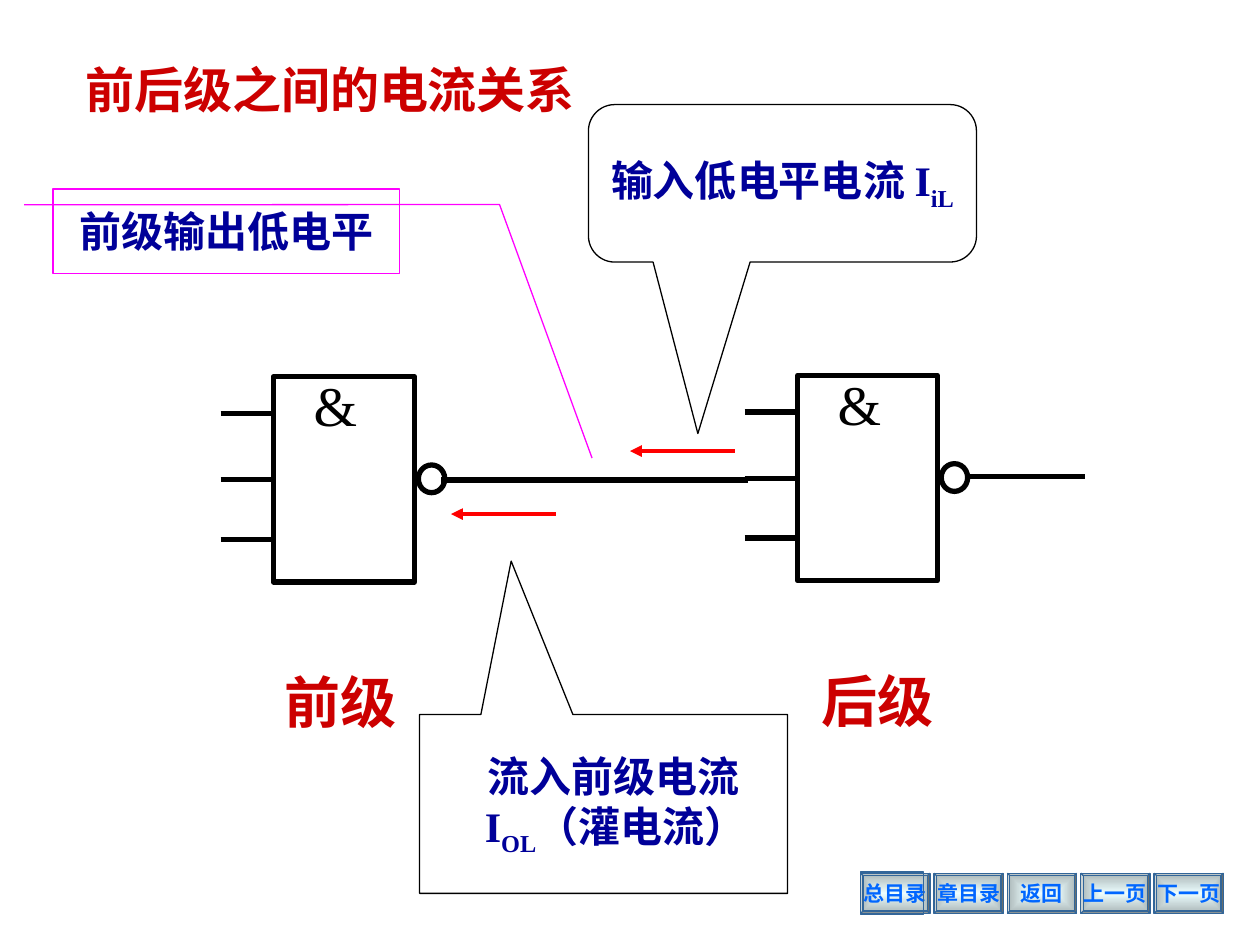
import pptx
import pptx.util
import pptx.dml.color
import pptx.enum.shapes
import pptx.enum.text
import pptx.oxml
import pptx.oxml.ns

Inches = pptx.util.Inches
Pt = pptx.util.Pt
SHAPE = pptx.enum.shapes.MSO_SHAPE
ALIGN = pptx.enum.text.PP_ALIGN
FONT = "Times New Roman"
COLORS = {
    "black": "000000", "title": "CC0000", "note": "000099", "pink": "FF00FF",
    "arrow": "FF0000", "link": "0066FF", "edge": "336699",
    "light": "ECFDFE", "dark": "AAB6B7",
}


def color(name):
    """Return the named colour."""
    return pptx.dml.color.RGBColor.from_string(COLORS[name])


def element(tag, **attrs):
    """Make an XML element with the given attributes."""
    node = pptx.oxml.parse_xml(f"<{tag} {pptx.oxml.ns.nsdecls('a')}/>")
    for key, value in attrs.items():
        node.set(key, value)
    return node


def outline(item, name, width):
    """Set the colour and width of a line."""
    item.line.color.rgb = color(name)
    item.line.width = Pt(width)


def shape(parent, kind, box, line, width, adjust=()):
    """Add an unfilled preset shape."""
    item = parent.shapes.add_shape(kind, *map(Inches, box))
    item.shadow.inherit = False
    item.fill.background()
    outline(item, line, width)
    for index, value in enumerate(adjust):
        item.adjustments[index] = value
    return item


def wire(parent, start, end, line="black", width=3, arrow=False):
    """Add a straight line, with an arrowhead at its end if asked."""
    kind = pptx.enum.shapes.MSO_CONNECTOR.STRAIGHT
    item = parent.shapes.add_connector(kind, *map(Inches, (*start, *end)))
    outline(item, line, width)
    if arrow:
        item.line._get_or_add_ln().append(element("a:tailEnd", type="triangle"))
    item._element.spPr.append(element("a:effectLst"))
    return item


def write(para, runs, size, name, bold=True, align=ALIGN.CENTER, indent=0):
    """Fill a paragraph with (text, baseline) runs."""
    para.alignment = align
    if indent:
        props = para._p.get_or_add_pPr()
        props.set("marL", str(Inches(indent)))
        props.set("indent", "0")
    for text, base in runs:
        run = para.add_run()
        run.text = text
        run.font.name = FONT
        run.font.size = Pt(size)
        run.font.bold = bold
        run.font.color.rgb = color(name)
        if base:
            run.font._element.set("baseline", str(base * 1000))


def label(parent, box, text, size, name, bold=True):
    """Add a text box with one line of text."""
    frame = parent.shapes.add_textbox(*map(Inches, box)).text_frame
    frame.word_wrap = True
    frame.auto_size = pptx.enum.text.MSO_AUTO_SIZE.SHAPE_TO_FIT_TEXT
    write(frame.paragraphs[0], [(text, 0)], size, name, bold, ALIGN.LEFT)


def callout(slide, kind, box, adjust, line, rows):
    """Add a callout with one paragraph for each (runs, align, indent) row."""
    item = shape(slide, kind, box, line, 0.75, adjust)
    frame = item.text_frame
    frame.word_wrap = True
    frame.vertical_anchor = pptx.enum.text.MSO_ANCHOR.MIDDLE
    for index, (runs, align, indent) in enumerate(rows):
        para = frame.add_paragraph() if index else frame.paragraphs[0]
        write(para, runs, 24, "note", align=align, indent=indent)


def gate(slide, box, name, shift, out=0):
    """Draw a NAND gate with three inputs, a name and an optional output."""
    left, top, width, height = box
    right = left + width
    group = slide.shapes.add_group_shape()
    body = shape(group, SHAPE.RECTANGLE, box, "black", 3)
    shape(group, SHAPE.OVAL, (right + 0.03, top + 0.7, 0.21, 0.22), "black", 3)
    label(group, (left + 0.22, top - 0.1, 0.8, 0.64), "&", 32, "black", False)
    for drop in (0.29, height / 2, 1.29):
        pin = wire(group, (left - 0.42, top + drop), (left, top + drop))
        if drop == height / 2:
            pin.end_connect(body, 1)
    if out:
        wire(group, (right + 0.22, top + 0.8), (right + 0.22 + out, top + 0.8))
    label(group, (left + shift, top + 2.26, 1.17, 0.64), name, 32, "title")


def buttons(slide, box, names):
    """Spread bevelled navigation buttons across the box."""
    left, top, width, height = box
    wide = 0.55
    step = (width - wide) / (len(names) - 1)
    for index, name in enumerate(names):
        place = (left + index * step, top, wide, height)
        item = shape(slide, SHAPE.BEVEL, place, "edge", 0.75, [0.06])
        item.fill.gradient()
        for stop, tone in zip(item.fill.gradient_stops, ("light", "dark")):
            stop.color.rgb = color(tone)
        grad = item._element.spPr.find(pptx.oxml.ns.qn("a:gradFill"))
        grad.remove(grad.find(pptx.oxml.ns.qn("a:lin")))
        sweep = element("a:path", path="rect")
        sweep.append(element("a:fillToRect", l="50000", t="50000", r="50000", b="50000"))
        grad.append(sweep)
        frame = item.text_frame
        frame.word_wrap = False
        frame.vertical_anchor = pptx.enum.text.MSO_ANCHOR.MIDDLE
        write(frame.paragraphs[0], [(name, 0)], 12, "link")
    shape(slide, SHAPE.RECTANGLE, (left, top - 0.01, 0.5, 0.34), "edge", 0.75)


def notes(slide):
    """Add the callouts and the current arrows."""
    callout(slide, SHAPE.LINE_CALLOUT_2, (0.42, 1.5, 2.75, 0.67),
            (0.188, -0.083, 0.185, 1.289, 3.188, 1.556), "pink",
            [([("前级输出低电平", 0)], ALIGN.CENTER, 0)])
    callout(slide, SHAPE.RECTANGULAR_CALLOUT, (3.33, 5.67, 2.92, 1.42),
            (-0.251, -1.357), "black",
            [([("流入前级电流", 0)], ALIGN.CENTER, 0.16),
             ([("I", 0), ("OL", -25), ("（灌电流）", 0)], ALIGN.LEFT, 0.42)])
    callout(slide, SHAPE.ROUNDED_RECTANGULAR_CALLOUT, (4.67, 0.83, 3.08, 1.25),
            (-0.218, 1.589, 0.167), "black",
            [([("输入低电平电流 I", 0), ("iL", -25)], ALIGN.CENTER, 0)])
    for left, top in ((5, 3.58), (3.58, 4.08)):
        wire(slide, (left + 0.83, top), (left, top), "arrow", 2.25, True)


def main():
    """Build the slide and save it."""
    deck = pptx.Presentation()
    deck.slide_width, deck.slide_height = Inches(10), Inches(7.5)
    slide = deck.slides.add_slide(deck.slide_layouts[6])
    buttons(slide, (6.83, 6.93, 2.88, 0.32),
            ("总目录", "章目录", "返回", "上一页", "下一页"))
    wire(slide, (3.5, 3.81), (5.94, 3.81))
    label(slide, (0.58, 0.42, 7.42, 0.57), "前后级之间的电流关系", 28, "title")
    gate(slide, (2.17, 2.99, 1.12, 1.63), "前级", -0.01)
    gate(slide, (6.33, 2.98, 1.11, 1.63), "后级", 0.09, 0.95)
    notes(slide)
    deck.save("out.pptx")


if __name__ == "__main__":
    main()
